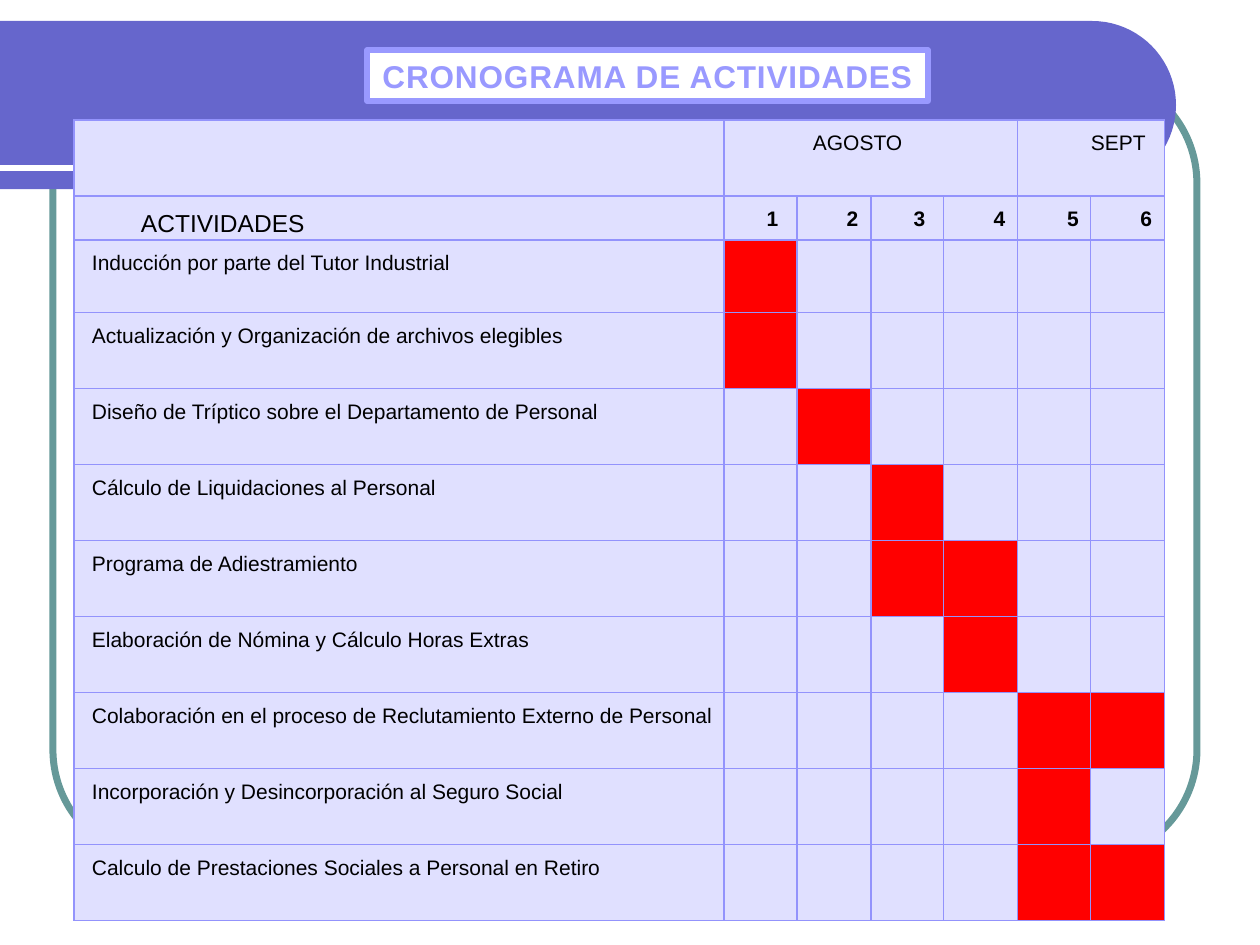
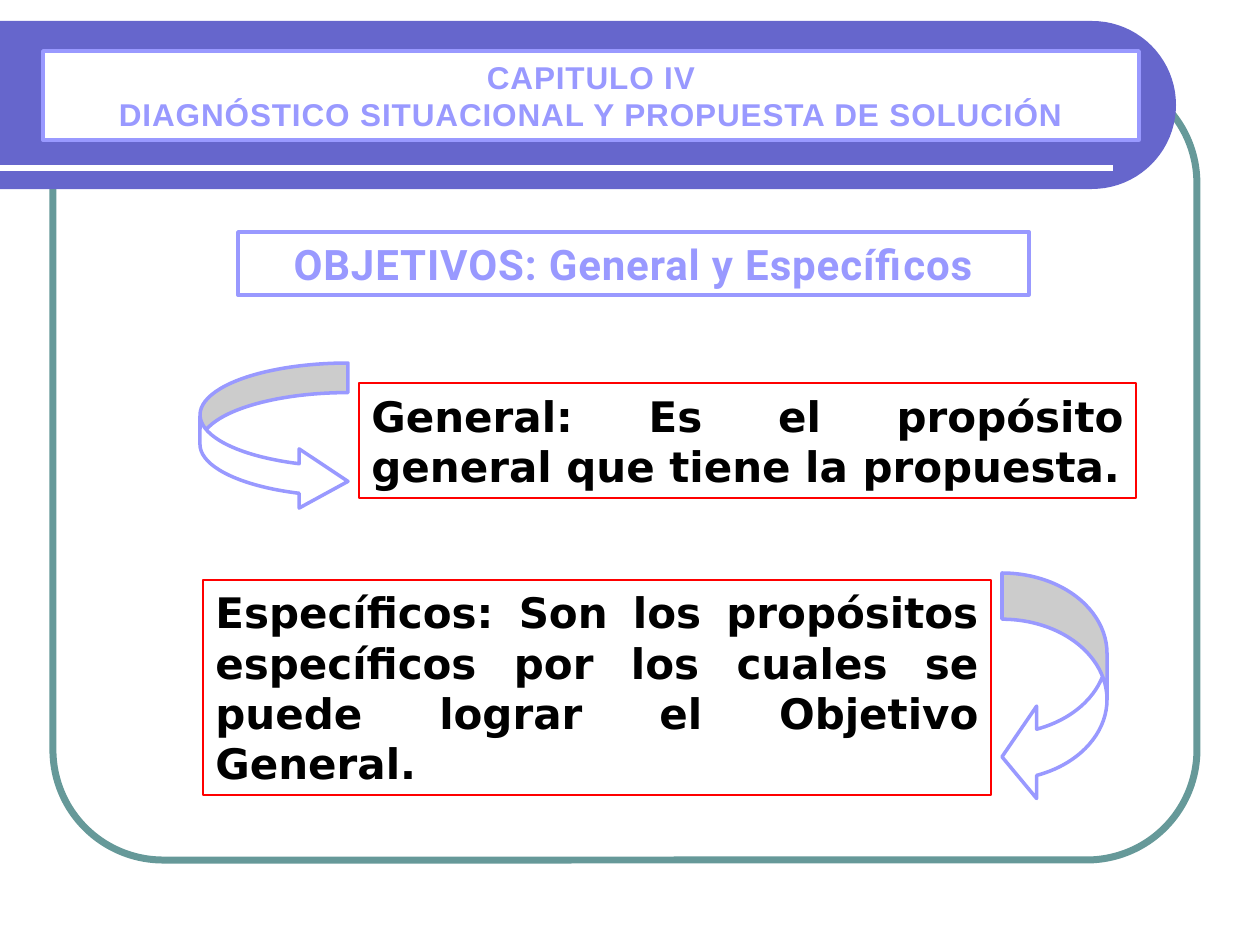
from dataclasses import dataclass
from math import cos, pi, sin

from lxml import etree
from pptx import Presentation
from pptx.dml.color import RGBColor
from pptx.enum.shapes import MSO_CONNECTOR, MSO_SHAPE
from pptx.enum.text import MSO_ANCHOR, MSO_AUTO_SIZE, PP_ALIGN
from pptx.oxml.ns import qn
from pptx.util import Pt

SCALE = 914400 / 126
RECT = MSO_SHAPE.RECTANGLE
ROUND = MSO_SHAPE.ROUNDED_RECTANGLE
RIGHT = MSO_SHAPE.CURVED_RIGHT_ARROW
BACK = MSO_SHAPE.CURVED_LEFT_ARROW
STRAIGHT = MSO_CONNECTOR.STRAIGHT
LEFT, CENTER, FULL = PP_ALIGN.LEFT, PP_ALIGN.CENTER, PP_ALIGN.JUSTIFY
MIDDLE = MSO_ANCHOR.MIDDLE
FIXED = MSO_AUTO_SIZE.NONE

WHITE = RGBColor(0xFF, 0xFF, 0xFF)
BLACK = RGBColor(0, 0, 0)
RED = RGBColor(0xFF, 0, 0)
TEAL = RGBColor(0x66, 0x99, 0x99)
INDIGO = RGBColor(0x66, 0x66, 0xCC)
LILAC = RGBColor(0x99, 0x99, 0xFF)
PALE = RGBColor(0xE0, 0xE0, 0xFF)
GRID = RGBColor(0x93, 0x93, 0xFC)


@dataclass
class Box:
    left: int
    top: int
    width: int
    height: int

    def emu(self) -> list[int]:
        return [px(n) for n in (self.left, self.top, self.width, self.height)]


@dataclass
class Style:
    font: str
    size: int
    color: RGBColor
    align: PP_ALIGN
    bold: bool = True
    space: int = 0


@dataclass
class Panel:
    box: Box
    text: str
    style: Style
    line: RGBColor
    weight: float


@dataclass
class Arrow:
    kind: MSO_SHAPE
    box: Box
    bends: tuple


@dataclass
class Task:
    name: str
    weeks: tuple


HEAD = Style("Arial", 18, LILAC, CENTER, space=50)
SUB = Style("Roboto", 24, LILAC, CENTER, space=50)
BODY = Style("DejaVu Sans", 24, BLACK, FULL)
CELL = Style("Arial", 12, BLACK, LEFT, bold=False)
LABEL = Style("Arial", 14, BLACK, LEFT, bold=False)
WEEK = Style("Arial", 12, BLACK, CENTER)

TASKS = [
    Task("Inducción por parte del Tutor Industrial", (1,)),
    Task("Actualización y Organización de archivos elegibles", (1,)),
    Task("Diseño de Tríptico sobre el Departamento de Personal", (2,)),
    Task("Cálculo de Liquidaciones al Personal", (3,)),
    Task("Programa de Adiestramiento", (3, 4)),
    Task("Elaboración de Nómina y Cálculo Horas Extras", (4,)),
    Task("Colaboración en el proceso de Reclutamiento Externo de Personal", (5, 6)),
    Task("Incorporación y Desincorporación al Seguro Social", (5,)),
    Task("Calculo de Prestaciones Sociales a Personal en Retiro", (5, 6)),
]
INDENTS = [24, 37, 24, 37, 37, 37]
COLS = [650] + [73, 74] * 3
ROWS = [76, 44, 73] + [76] * 8

PANELS = [
    Panel(Box(238, 232, 791, 63), "OBJETIVOS: General y Específicos", SUB, LILAC, 2),
    Panel(Box(359, 383, 777, 115),
          "General: Es el propósito general que tiene la propuesta.", BODY, RED, 0.75),
    Panel(Box(203, 580, 788, 215),
          "Específicos: Son los propósitos específicos por los cuales se puede "
          "lograr el Objetivo General.", BODY, RED, 0.75),
]
ARROWS = [
    Arrow(RIGHT, Box(200, 363, 148, 148), (0.2, 0.4, 0.33)),
    Arrow(BACK, Box(1002, 573, 105, 230), (0.44, 0.88, 0.33)),
]


def px(value: float) -> int:
    return round(value * SCALE)


def write(para, text: str, style: Style) -> None:
    run = para.add_run()
    run.text = text
    para.alignment = style.align
    font = para.font
    font.name, font.size, font.bold = style.font, Pt(style.size), style.bold
    font.color.rgb = style.color
    if style.space:
        run._r.get_or_add_rPr().set("spc", str(style.space))


def paint(shape, fill: RGBColor | None, line: RGBColor, weight: float) -> None:
    if fill is None:
        shape.fill.background()
    else:
        shape.fill.solid()
        shape.fill.fore_color.rgb = fill
    shape.line.color.rgb = line
    shape.line.width = Pt(weight)


def draw(slide, kind: MSO_SHAPE, box: Box, fill, line: RGBColor, weight: float):
    shape = slide.shapes.add_shape(kind, *box.emu())
    shape.shadow.inherit = False
    paint(shape, fill, line, weight)
    return shape


def frame(slide) -> None:
    edge = draw(slide, ROUND, Box(53, 73, 1144, 787), None, TEAL, 4)
    edge.adjustments[0] = 0.14
    turns = [pi * step / 40 - pi / 2 for step in range(41)]
    curve = [(px(1092 + 84 * cos(a)), px(105 + 84 * sin(a))) for a in turns]
    path = slide.shapes.build_freeform(0, px(21))
    path.add_line_segments(curve + [(0, px(189))], close=True)
    band = path.convert_to_shape()
    band.shadow.inherit = False
    paint(band, INDIGO, INDIGO, 0)
    band.line.fill.background()
    rule = slide.shapes.add_connector(STRAIGHT, 0, px(168), px(1113), px(168))
    rule.line.color.rgb = WHITE
    rule.line.width = Pt(3)
    etree.SubElement(rule.element.spPr, qn("a:effectLst"))


def start(deck, lines: list[str], box: Box, weight: float):
    slide = deck.slides.add_slide(deck.slide_layouts[5])
    frame(slide)
    title = slide.shapes.title
    title.element.getparent().append(title.element)
    title.left, title.top, title.width, title.height = box.emu()
    paint(title, WHITE, LILAC, weight)
    body = title.text_frame
    body.auto_size, body.word_wrap = FIXED, True
    body.vertical_anchor = MIDDLE
    body.margin_left = body.margin_right = px(6)
    for spot, text in enumerate(lines):
        para = body.add_paragraph() if spot else body.paragraphs[0]
        write(para, text, HEAD)
    return slide


def border(cell) -> None:
    props = cell._tc.get_or_add_tcPr()
    for side in ("lnL", "lnR", "lnT", "lnB"):
        line = etree.SubElement(props, qn(f"a:{side}"), w=str(Pt(0.75)))
        fill = etree.SubElement(line, qn("a:solidFill"))
        etree.SubElement(fill, qn("a:srgbClr"), val=str(GRID))


def fill_in(cell, text: str, style: Style, indent: int) -> None:
    cell.margin_left = cell.margin_right = px(5)
    cell.margin_top = cell.margin_bottom = 0
    para = cell.text_frame.paragraphs[0]
    para.line_spacing = 1.5
    para._p.get_or_add_pPr().set("indent", str(px(indent)))
    write(para, text, style)


def plan(slide) -> None:
    box = Box(74, 120, sum(COLS), sum(ROWS))
    table = slide.shapes.add_table(len(ROWS), len(COLS), *box.emu()).table
    for col, width in zip(table.columns, COLS):
        col.width = px(width)
    for row, height in zip(table.rows, ROWS):
        row.height = px(height)
    for cell in table.iter_cells():
        border(cell)
        cell.fill.solid()
        cell.fill.fore_color.rgb = PALE
    table.cell(0, 1).merge(table.cell(0, 4))
    table.cell(0, 5).merge(table.cell(0, 6))
    fill_in(table.cell(0, 1), "AGOSTO", CELL, 84)
    fill_in(table.cell(0, 5), "SEPT", CELL, 68)
    fill_in(table.cell(1, 0), "ACTIVIDADES", LABEL, 62)
    for week, indent in enumerate(INDENTS, 1):
        fill_in(table.cell(1, week), str(week), WEEK, indent)
    for row, task in enumerate(TASKS, 2):
        fill_in(table.cell(row, 0), task.name, CELL, 13)
        for week in task.weeks:
            table.cell(row, week).fill.fore_color.rgb = RED


def goals(slide) -> None:
    for panel in PANELS:
        fill = WHITE if panel.style is SUB else None
        shape = draw(slide, RECT, panel.box, fill, panel.line, panel.weight)
        body = shape.text_frame
        body.word_wrap, body.vertical_anchor = True, MIDDLE
        write(body.paragraphs[0], panel.text, panel.style)
    for arrow in ARROWS:
        shape = draw(slide, arrow.kind, arrow.box, WHITE, LILAC, 2)
        for spot, bend in enumerate(arrow.bends):
            shape.adjustments[spot] = bend


def main() -> None:
    deck = Presentation()
    deck.slide_width, deck.slide_height = px(1260), px(945)
    plan(start(deck, ["CRONOGRAMA DE ACTIVIDADES"], Box(367, 50, 561, 51), 3))
    goals(start(deck, ["CAPITULO IV", "DIAGNÓSTICO SITUACIONAL Y PROPUESTA DE SOLUCIÓN"],
                Box(43, 51, 1096, 89), 2))
    deck.save("out.pptx")


if __name__ == "__main__":
    main()
